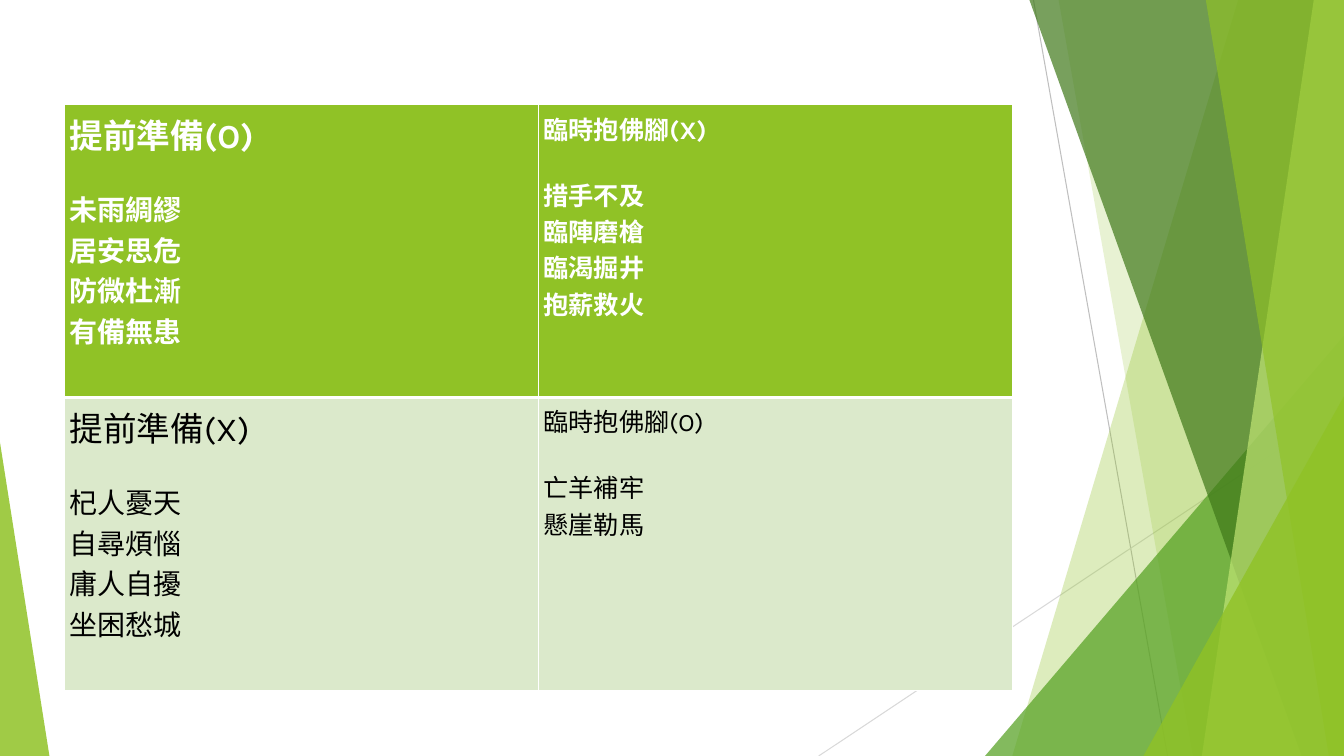
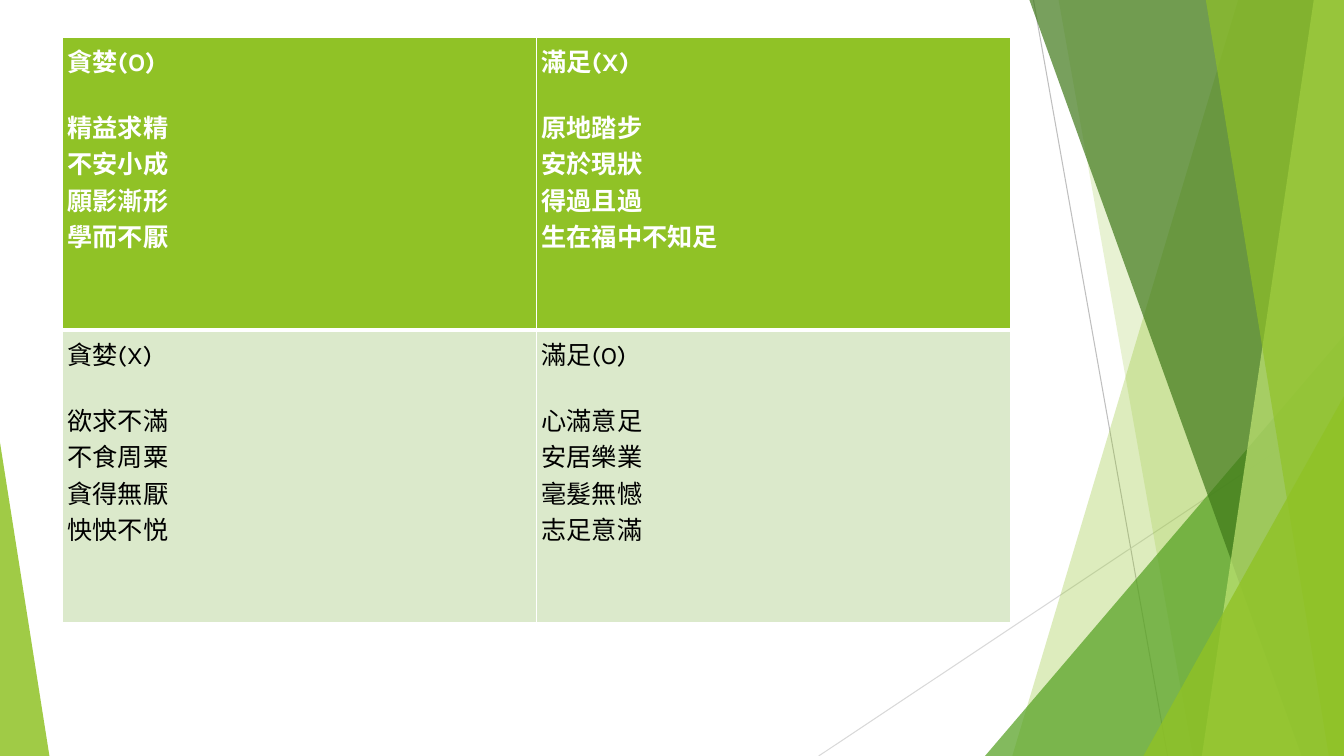
from lxml import etree
from pptx import Presentation
from pptx.dml.color import RGBColor
from pptx.enum.shapes import MSO_CONNECTOR
from pptx.oxml.ns import qn
from pptx.util import Inches, Pt

STRAIGHT = MSO_CONNECTOR.STRAIGHT
WIDTH, HEIGHT = 13.33, 7.5
BLANK_LAYOUT = 6
BODY_FONT, MARK_FONT = "Roboto", "Karla"
GREEN, PALE, WHITE, BLACK = "90C226", "DBE9CB", "FFFFFF", "000000"
MID_GREEN, DARK_GREEN, LIME = "54A021", "3F7819", "C0E474"
TABLE_SIZE = (9.4, 5.81)
CELL_MARGIN = 0.05
LIST_GAP = 21
THIN, THICK = 1, 3
NORMAL_SIZES, LARGE_SIZES = (18, 18), (24, 20)

RAYS = [
    ((10.25, 0), (11.58, HEIGHT), "BFBFBF"),
    ((WIDTH, 4.03), (8.12, HEIGHT), "D9D9D9"),
]


def band(top_left, bottom_left):
    """Return a facet that runs from two left corners to the right edge."""
    return [(top_left, 0), (WIDTH, 0), (WIDTH, HEIGHT), (bottom_left, HEIGHT)]


def corner(left, top):
    """Return a triangular facet in the bottom right corner."""
    return [(left, HEIGHT), (WIDTH, top), (WIDTH, HEIGHT)]


FACETS = [
    (band(12.28, 10.04), GREEN, 30),
    (band(10.5, 11.83), GREEN, 20),
    (corner(9.77, 3.33), MID_GREEN, 72),
    (band(10.21, 12.91), DARK_GREEN, 70),
    (band(13.03, 11.92), LIME, 70),
    (band(11.96, 13.18), GREEN, 65),
    (corner(11.34, 3.93), GREEN, 80),
    ([(0, HEIGHT), (0, 4.39), (0.49, HEIGHT)], GREEN, 85),
]

PREPARATION = [
    [
        ("提前準備", "(O)", ["未雨綢繆", "居安思危", "防微杜漸", "有備無患"]),
        ("臨時抱佛腳", "(X)", ["措手不及", "臨陣磨槍", "臨渴掘井", "抱薪救火"]),
    ],
    [
        ("提前準備", "(X)", ["杞人憂天", "自尋煩惱", "庸人自擾", "坐困愁城"]),
        ("臨時抱佛腳", "(O)", ["亡羊補牢", "懸崖勒馬"]),
    ],
]
CONTENTMENT = [
    [
        ("貪婪", "(O)", ["精益求精", "不安小成", "願影漸形", "學而不厭"]),
        ("滿足", "(X)", ["原地踏步", "安於現狀", "得過且過", "生在福中不知足"]),
    ],
    [
        ("貪婪", "(X)", ["欲求不滿", "不食周粟", "貪得無厭", "怏怏不悦"]),
        ("滿足", "(O)", ["心滿意足", "安居樂業", "毫髮無憾", "志足意滿"]),
    ],
]


def paint(fill, color):
    """Set a fill to a solid colour."""
    fill.solid()
    fill.fore_color.rgb = RGBColor.from_string(color)


def add_text(paragraph, text, font=BODY_FONT, size=18, color=BLACK, bold=False):
    """Add one formatted run to a paragraph."""
    run = paragraph.add_run()
    run.text = text
    run.font.name = font
    run.font.size = Pt(size)
    run.font.bold = bold
    run.font.color.rgb = RGBColor.from_string(color)


def draw_ray(slide, start, end, color):
    """Draw one thin background line."""
    line = slide.shapes.add_connector(STRAIGHT, *map(Inches, start + end))
    line.line.color.rgb = RGBColor.from_string(color)
    line.line.width = Pt(0.75)
    etree.SubElement(line._element.spPr, qn("a:effectLst"))


def draw_facet(slide, points, color, opacity):
    """Draw one translucent background polygon."""
    corners = [(Inches(x), Inches(y)) for x, y in points]
    builder = slide.shapes.build_freeform(*corners[0])
    builder.add_line_segments(corners[1:], close=True)
    shape = builder.convert_to_shape()
    shape.shadow.inherit = False
    paint(shape.fill, color)
    shape.line.fill.background()
    color_element = shape._element.spPr.find(".//" + qn("a:srgbClr"))
    etree.SubElement(color_element, qn("a:alpha"), val=str(opacity * 1000))


def draw_background(slide):
    """Draw the lines and facets that every slide shares."""
    for ray in RAYS:
        draw_ray(slide, *ray)
    for facet in FACETS:
        draw_facet(slide, *facet)


def set_borders(cell, top, bottom):
    """Give a cell white borders with chosen top and bottom widths."""
    properties = cell._tc.get_or_add_tcPr()
    widths = {"a:lnL": THIN, "a:lnR": THIN, "a:lnT": top, "a:lnB": bottom}
    for tag, width in widths.items():
        line = etree.SubElement(properties, qn(tag), w=str(Pt(width)))
        fill = etree.SubElement(line, qn("a:solidFill"))
        etree.SubElement(fill, qn("a:srgbClr"), val=WHITE)


def fill_cell(cell, content, sizes, is_header):
    """Write a heading with its list of idioms into a cell."""
    heading, mark, idioms = content
    heading_size, idiom_size = sizes
    style = {"color": WHITE if is_header else BLACK, "bold": is_header}
    set_borders(cell, THIN if is_header else THICK, THICK if is_header else THIN)
    paint(cell.fill, GREEN if is_header else PALE)
    cell.margin_left = cell.margin_right = Inches(CELL_MARGIN)
    cell.margin_top = cell.margin_bottom = Inches(CELL_MARGIN)
    frame = cell.text_frame
    title = frame.paragraphs[0]
    add_text(title, heading, size=heading_size, **style)
    add_text(title, mark, font=MARK_FONT, size=heading_size, **style)
    for index, idiom in enumerate(idioms):
        paragraph = frame.add_paragraph()
        if index == 0:
            paragraph.space_before = Pt(LIST_GAP)
        add_text(paragraph, idiom, size=idiom_size, **style)


def add_idiom_table(slide, box, rows, column_sizes):
    """Place a table of idiom groups in the given box."""
    frame = slide.shapes.add_table(len(rows), len(rows[0]), *map(Inches, box))
    table = frame.table
    table.horz_banding = False
    for row_index, row in enumerate(rows):
        for column_index, content in enumerate(row):
            cell = table.cell(row_index, column_index)
            fill_cell(cell, content, column_sizes[column_index], row_index == 0)


def add_idiom_slide(presentation, position, rows, column_sizes):
    """Add a slide with the shared background and one idiom table."""
    slide = presentation.slides.add_slide(presentation.slide_layouts[BLANK_LAYOUT])
    draw_background(slide)
    add_idiom_table(slide, position + TABLE_SIZE, rows, column_sizes)


def main():
    """Build and save the presentation."""
    presentation = Presentation()
    presentation.slide_width = Inches(WIDTH)
    presentation.slide_height = Inches(HEIGHT)
    add_idiom_slide(presentation, (0.64, 1.04), PREPARATION, (LARGE_SIZES, NORMAL_SIZES))
    add_idiom_slide(presentation, (0.62, 0.37), CONTENTMENT, (NORMAL_SIZES, NORMAL_SIZES))
    presentation.save("out.pptx")


if __name__ == "__main__":
    main()
